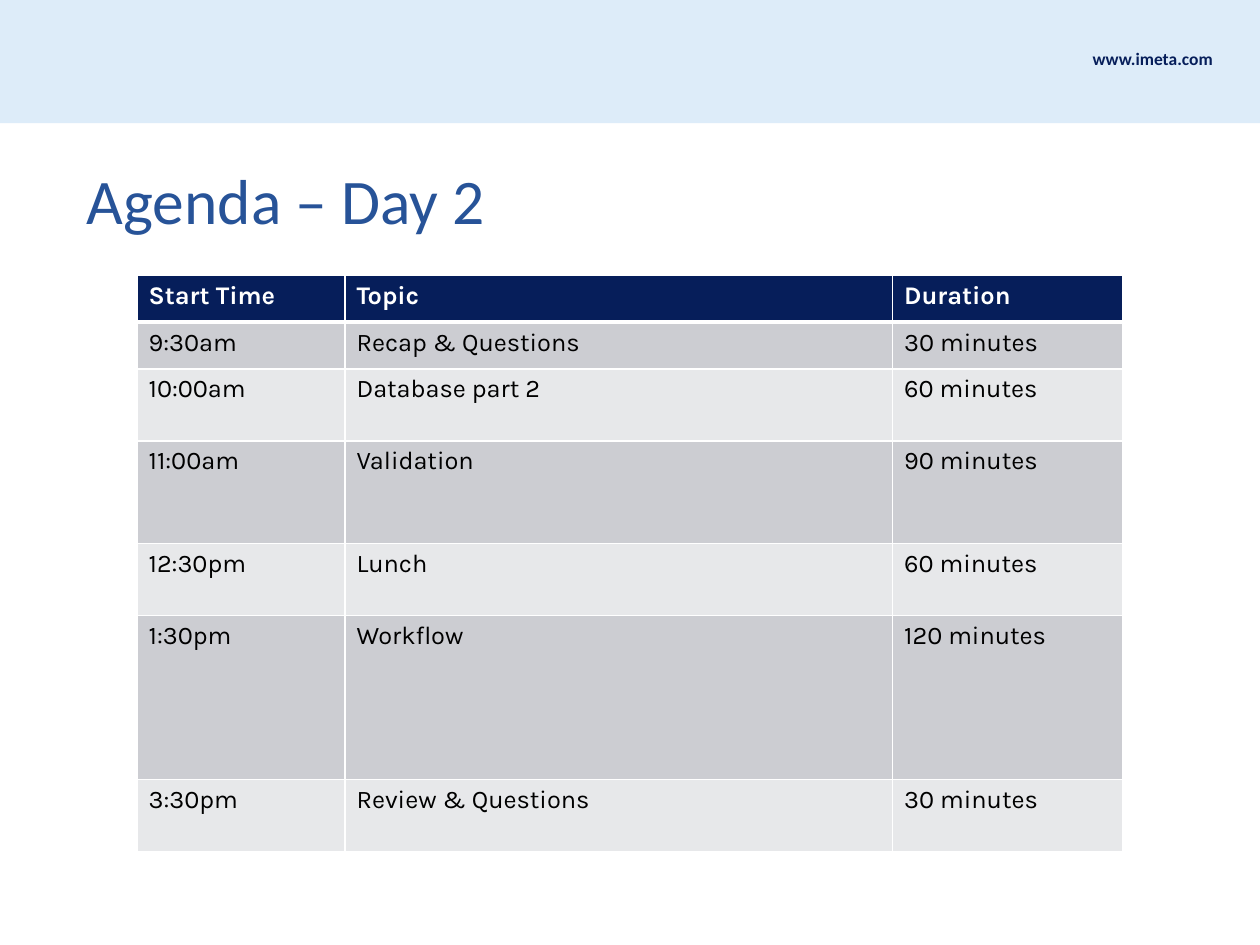
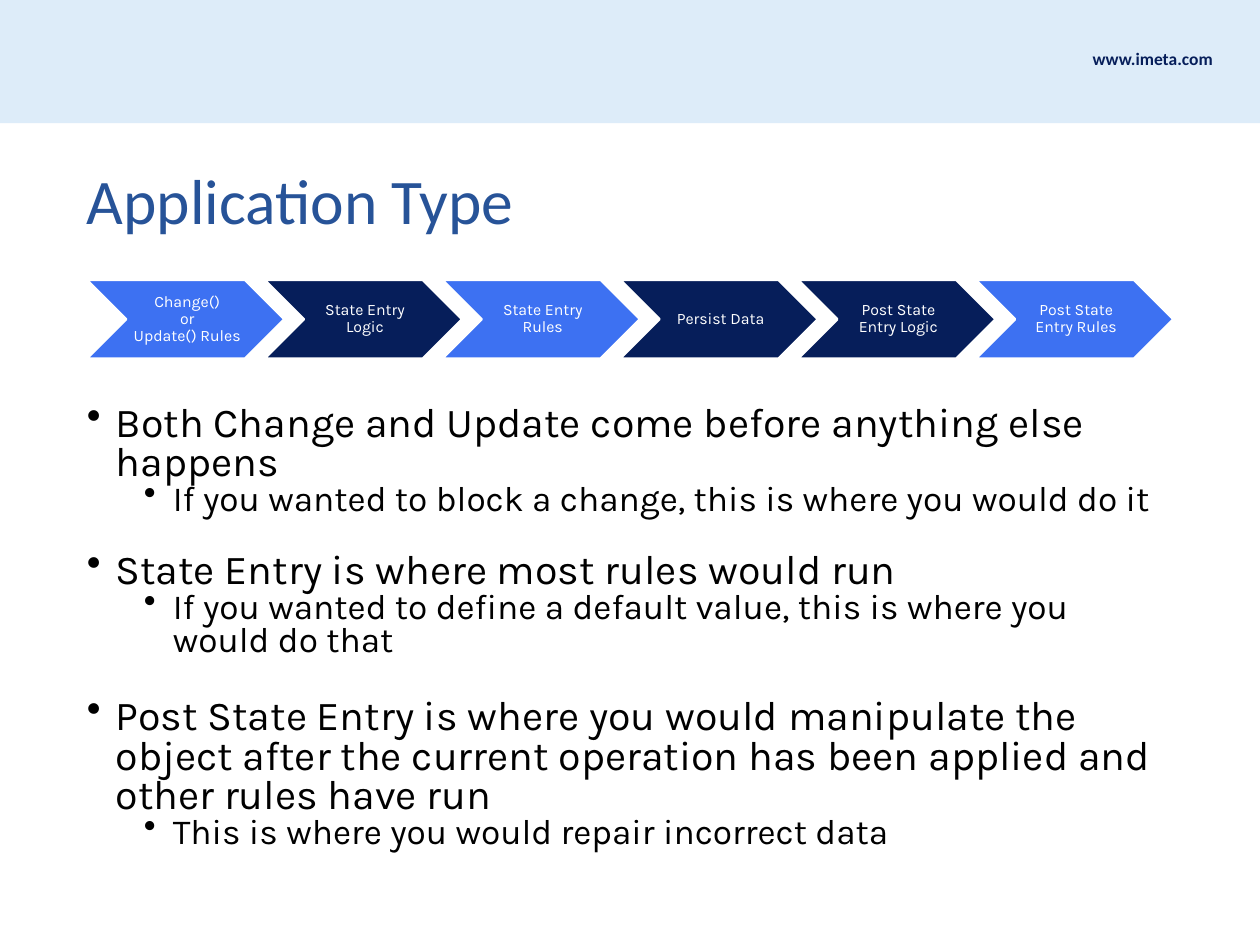
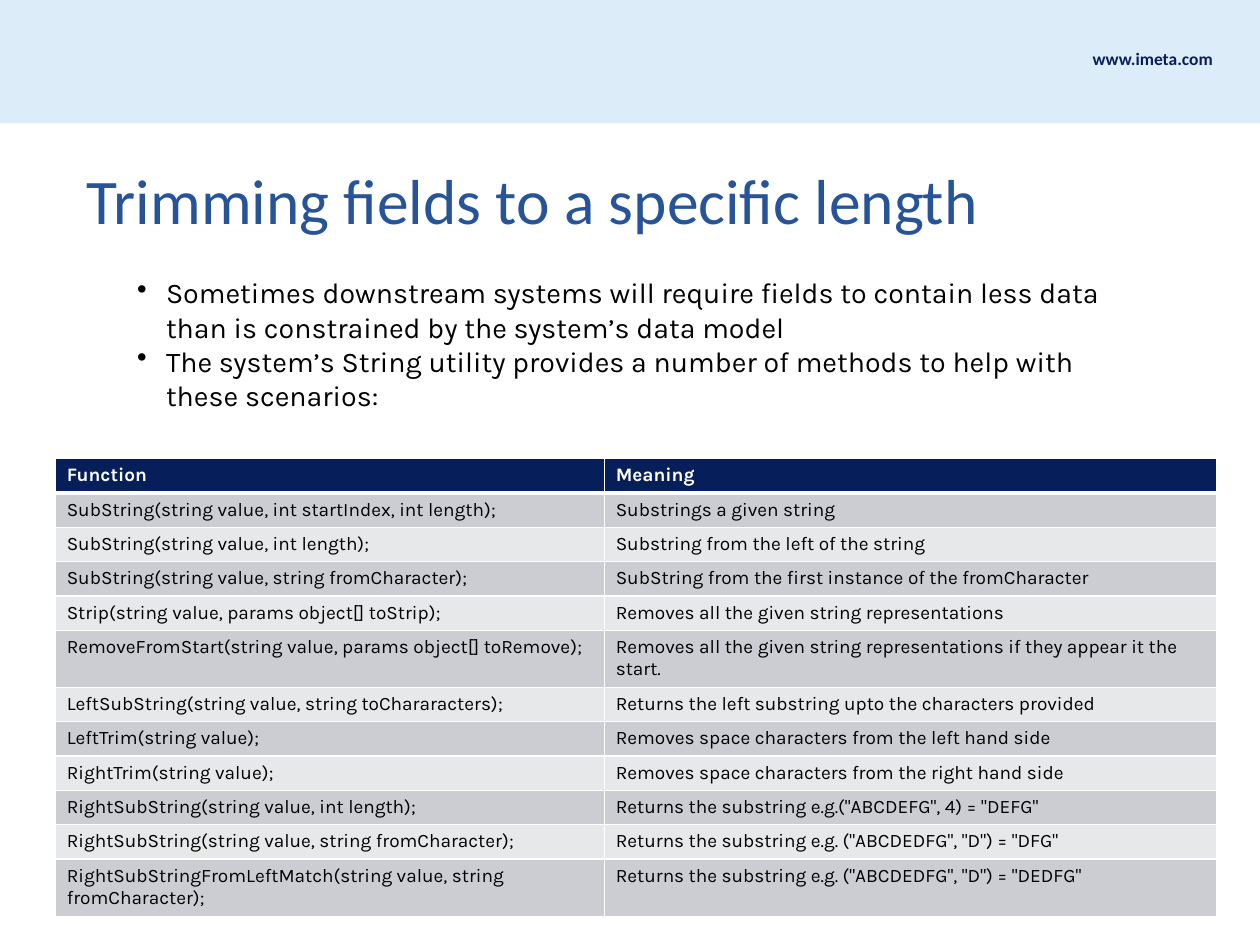
"""Build three training slides: an agenda, a rule sequence and a function table."""
import dataclasses

import lxml.etree
import pptx
import pptx.dml.color
import pptx.enum.shapes
import pptx.enum.text
import pptx.oxml.ns
import pptx.util

Cm = pptx.util.Cm
Pt = pptx.util.Pt
MIDDLE = pptx.enum.text.MSO_ANCHOR.MIDDLE
qn = pptx.oxml.ns.qn


@dataclasses.dataclass(frozen=True)
class Theme:
    navy: str = "061E5A"
    blue: str = "3D71F2"
    title: str = "275398"
    band: str = "DDECF9"
    stripes: tuple = ("CCCDD2", "E7E8EA")
    white: str = "FFFFFF"
    black: str = "000000"
    head_font: str = "Calibri"
    body_font: str = "Karla"
    title_size: float = 40
    url_size: float = 11
    step_size: float = 10
    bullet_sizes: tuple = (25.9, 22.2)
    intro_sizes: tuple = (18,)
    agenda_size: float = 16
    function_size: float = 12


THEME = Theme()


def rgb(color):
    return pptx.dml.color.RGBColor.from_string(color)


class Deck:
    def __init__(self, theme):
        self.theme = theme
        self.prs = pptx.Presentation()
        self.prs.slide_width, self.prs.slide_height = Cm(28), Cm(21)
        self.s = None

    def slide(self, title):
        t = self.theme
        self.s = self.prs.slides.add_slide(self.prs.slide_layouts[6])
        self.shape(pptx.enum.shapes.MSO_SHAPE.RECTANGLE, 0, 0, 28, 2.74, t.band)
        tf = self.box(24.03, 0.94, 3.25, 0.74, (0.25, 0.13, 0.25, 0.13), wrap=False)
        self.run(tf.paragraphs[0], "www.imeta.com", t.url_size, t.navy, t.head_font, True)
        tf = self.box(1.93, 3.2, 24.16, 2.46)
        tf.vertical_anchor = MIDDLE
        self.run(tf.paragraphs[0], title, t.title_size, t.title, t.head_font)

    def run(self, p, text, size, color, font=None, bold=False):
        r = p.add_run()
        r.text = text
        r.font.name = font or self.theme.body_font
        r.font.size = Pt(size)
        r.font.bold = bold
        r.font.color.rgb = rgb(color)

    def margins(self, tf, insets):
        tf.margin_left, tf.margin_top, tf.margin_right, tf.margin_bottom = map(Cm, insets)

    def box(self, x, y, w, h, insets=(0, 0, 0, 0), wrap=True):
        tf = self.s.shapes.add_textbox(Cm(x), Cm(y), Cm(w), Cm(h)).text_frame
        tf.word_wrap = wrap
        self.margins(tf, insets)
        return tf

    def shape(self, kind, x, y, w, h, fill, line=None):
        sp = self.s.shapes.add_shape(kind, Cm(x), Cm(y), Cm(w), Cm(h))
        sp.shadow.inherit = False
        sp.fill.solid()
        sp.fill.fore_color.rgb = rgb(fill)
        if line:
            sp.line.color.rgb = rgb(line)
            sp.line.width = Pt(1.5)
        else:
            sp.line.fill.background()
        return sp

    def chevrons(self, x, y, w, h, steps):
        t = self.theme
        for i, (lines, fill) in enumerate(steps):
            sp = self.shape(pptx.enum.shapes.MSO_SHAPE.CHEVRON,
                            x + i * 0.9 * w, y, w, h, fill, t.white)
            tf = sp.text_frame
            tf.word_wrap = True
            tf.vertical_anchor = MIDDLE
            self.margins(tf, (0.1, 0.03, 0.03, 0.03))
            p = tf.paragraphs[0]
            p.alignment = pptx.enum.text.PP_ALIGN.CENTER
            p.line_spacing = 0.9
            for n, line in enumerate(lines):
                if n:
                    p.add_line_break()
                self.run(p, line, t.step_size, t.white)

    def bullets(self, x, y, w, h, items, sizes, spacing=1.0):
        tf = self.box(x, y, w, h)
        for i, (level, before, text) in enumerate(items):
            p = tf.add_paragraph() if i else tf.paragraphs[0]
            pPr = p._p.get_or_add_pPr()
            pPr.set("marL", str(Cm(0.64 + 1.27 * level)))
            pPr.set("indent", str(Cm(-0.64)))
            lxml.etree.SubElement(pPr, qn("a:buChar")).set("char", "•")
            p.level = level
            p.line_spacing = spacing
            p.space_before = Pt(before)
            self.run(p, text, sizes[level], self.theme.black)

    def border(self, cell, top, bottom):
        tcPr = cell._tc.get_or_add_tcPr()
        sides = (("a:lnL", 1), ("a:lnR", 1), ("a:lnT", top), ("a:lnB", bottom))
        for i, (tag, width) in enumerate(sides):
            ln = lxml.etree.Element(qn(tag), w=str(Pt(width)))
            fill = lxml.etree.SubElement(ln, qn("a:solidFill"))
            lxml.etree.SubElement(fill, qn("a:srgbClr")).set("val", self.theme.white)
            tcPr.insert(i, ln)

    def table(self, x, y, widths, heights, rows, size):
        t = self.theme
        tbl = self.s.shapes.add_table(len(rows), len(widths), Cm(x), Cm(y),
                                      Cm(sum(widths)), Cm(sum(heights))).table
        tbl.horz_banding = False
        for col, width in zip(tbl.columns, widths):
            col.width = Cm(width)
        for i, (row, height, texts) in enumerate(zip(tbl.rows, heights, rows)):
            row.height = Cm(height)
            header = i == 0
            for cell, text in zip(row.cells, texts):
                cell.fill.solid()
                cell.fill.fore_color.rgb = rgb(t.navy if header else t.stripes[(i - 1) % 2])
                self.border(cell, 3 if i == 1 else 1, 3 if header else 1)
                self.run(cell.text_frame.paragraphs[0], text, size,
                         t.white if header else t.black, bold=header)


AGENDA = [
    ("Start Time", "Topic", "Duration"),
    ("9:30am", "Recap & Questions", "30 minutes"),
    ("10:00am", "Database part 2", "60 minutes"),
    ("11:00am", "Validation", "90 minutes"),
    ("12:30pm", "Lunch", "60 minutes"),
    ("1:30pm", "Workflow", "120 minutes"),
    ("3:30pm", "Review & Questions", "30 minutes"),
]

STEPS = [
    (("Change()", "or", "Update() Rules"), THEME.blue),
    (("State Entry Logic",), THEME.navy),
    (("State Entry Rules",), THEME.blue),
    (("Persist Data",), THEME.navy),
    (("Post State Entry Logic",), THEME.navy),
    (("Post State Entry Rules",), THEME.blue),
]

STEP_NOTES = [
    (0, 0, "Both Change and Update come before anything else happens"),
    (1, 0, "If you wanted to block a change, this is where you would do it"),
    (0, 21.3, "State Entry is where most rules would run"),
    (1, 0, "If you wanted to define a default value, this is where you would do that"),
    (0, 24.9, "Post State Entry is where you would manipulate the object after the "
              "current operation has been applied and other rules have run"),
    (1, 0, "This is where you would repair incorrect data"),
]

TRIM_INTRO = [
    (0, 0, "Sometimes downstream systems will require fields to contain less data "
           "than is constrained by the system’s data model"),
    (0, 0, "The system’s String utility provides a number of methods to help with "
           "these scenarios:"),
]

FUNCTIONS = [
    ("Function", "Meaning"),
    ("SubString(string value, int startIndex, int length);", "Substrings a given string"),
    ("SubString(string value, int length);", "Substring from the left of the string"),
    ("SubString(string value, string fromCharacter);",
     "SubString from the first instance of the fromCharacter"),
    ("Strip(string value, params object[] toStrip);",
     "Removes all the given string representations"),
    ("RemoveFromStart(string value, params object[] toRemove);",
     "Removes all the given string representations if they appear it the start."),
    ("LeftSubString(string value, string toChararacters);",
     "Returns the left substring upto the characters provided"),
    ("LeftTrim(string value);", "Removes space characters from the left hand side"),
    ("RightTrim(string value);", "Removes space characters from the right hand side"),
    ("RightSubString(string value, int length);",
     'Returns the substring e.g.("ABCDEFG", 4) = "DEFG"'),
    ("RightSubString(string value, string fromCharacter);",
     'Returns the substring e.g. ("ABCDEDFG", "D") = "DFG"'),
    ("RightSubStringFromLeftMatch(string value, string fromCharacter);",
     'Returns the substring e.g. ("ABCDEDFG", "D") = "DEDFG"'),
]


def main():
    deck = Deck(THEME)

    deck.slide("Agenda – Day 2")
    deck.table(3.05, 6.12, (4.62, 12.17, 5.11), (1.04, 1.04, 1.6, 2.28, 1.6, 3.64, 1.6),
               AGENDA, THEME.agenda_size)

    deck.slide("Application Type")
    deck.bullets(1.93, 9.02, 24.16, 9.9, STEP_NOTES, THEME.bullet_sizes, 0.8)
    deck.chevrons(1.93, 6.22, 4.39, 1.75, STEPS)

    deck.slide("Trimming fields to a specific length")
    deck.bullets(3.05, 6.12, 21.9, 3.5, TRIM_INTRO, THEME.intro_sizes)
    heights = [1.24 if i in (5, 11) else 0.74 for i in range(len(FUNCTIONS))]
    deck.table(1.23, 10.19, (12.2, 13.6), heights, FUNCTIONS, THEME.function_size)

    deck.prs.save("out.pptx")


if __name__ == "__main__":
    main()
